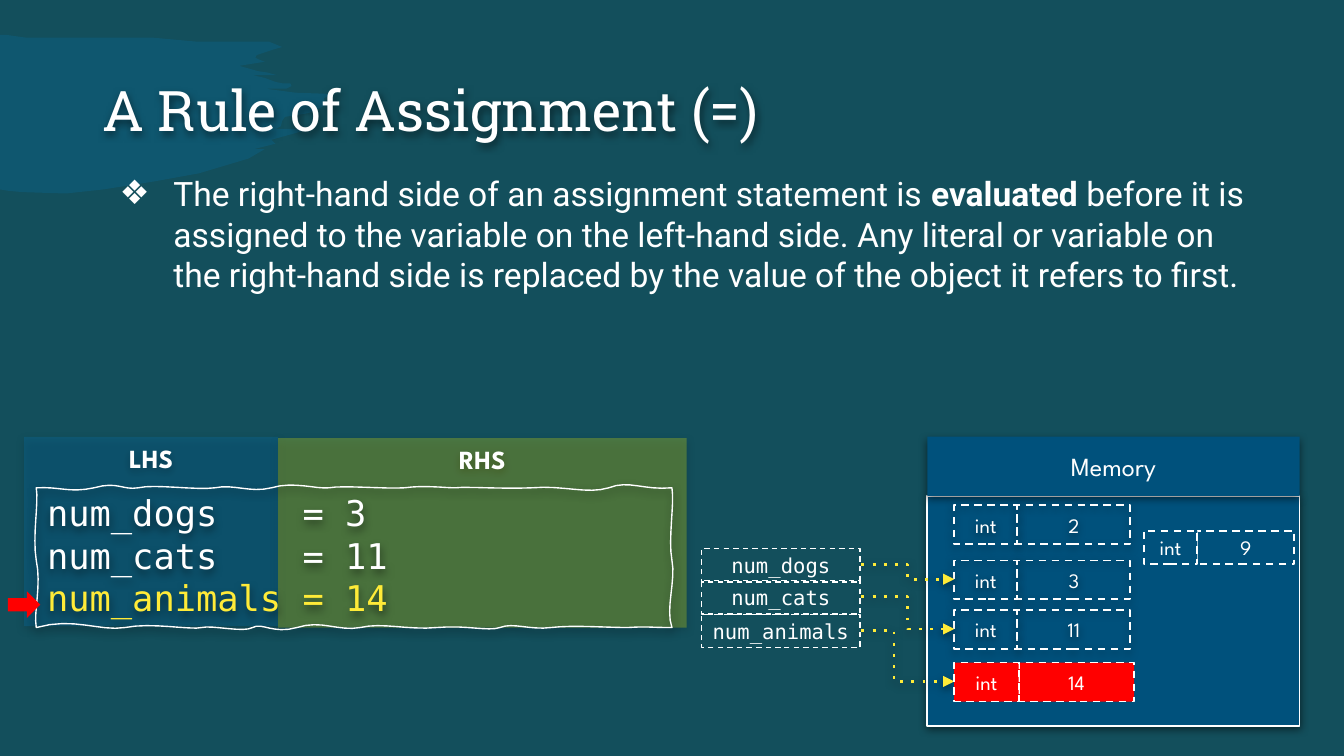
from lxml import etree
from pptx import Presentation
from pptx.dml.color import RGBColor
from pptx.enum.dml import MSO_LINE
from pptx.enum.shapes import MSO_CONNECTOR, MSO_SHAPE
from pptx.enum.text import MSO_ANCHOR, PP_ALIGN
from pptx.oxml.ns import qn
from pptx.util import Inches, Pt

RECT, ARROW = MSO_SHAPE.RECTANGLE, MSO_SHAPE.RIGHT_ARROW
ELBOW = MSO_CONNECTOR.ELBOW
DASH = MSO_LINE.DASH
TOP, MIDDLE = MSO_ANCHOR.TOP, MSO_ANCHOR.MIDDLE
LEFT, CENTER = PP_ALIGN.LEFT, PP_ALIGN.CENTER

TEAL = RGBColor(0x13, 0x4F, 0x5C)
BLUE = RGBColor(0x02, 0x77, 0xBD)
NAVY = RGBColor(0x00, 0x51, 0x7C)
YELLOW = RGBColor(0xFF, 0xFF, 0x00)
GOLD = RGBColor(0xFF, 0xEB, 0x38)
RED = RGBColor(0xFF, 0x00, 0x00)
WHITE = RGBColor(0xFF, 0xFF, 0xFF)

SPARTAN, MONO = "League Spartan", "DejaVu Sans Mono"

BRUSH = [
    (0, 0.26), (0.05, 0.26), (0.19, 0.28), (0.5, 0.28), (0.76, 0.28), (1.13, 0.28),
    (1.46, 0.31), (1.86, 0.31), (2, 0.31), (2.1, 0.35), (2.03, 0.37), (1.91, 0.41),
    (1.9, 0.43), (1.92, 0.44), (1.97, 0.46), (1.78, 0.49), (1.92, 0.53), (1.99, 0.54),
    (2.06, 0.56), (1.88, 0.56), (1.97, 0.58), (2.05, 0.61), (2.1, 0.62), (2.16, 0.62),
    (2.17, 0.64), (2.13, 0.66), (1.97, 0.66), (2.2, 0.69), (2.48, 0.7), (2.41, 0.73),
    (2.42, 0.78), (2.39, 0.8), (2.3, 0.84), (2.25, 0.85), (2.12, 0.87), (2.1, 0.9),
    (2.09, 0.94), (2.05, 0.96), (2.31, 0.96), (2.02, 1.04), (2.05, 1.07), (1.89, 1.11),
    (1.97, 1.11), (1.85, 1.18), (1.48, 1.29), (1.15, 1.35), (0.77, 1.41), (0.49, 1.44),
    (0.17, 1.43), (0.06, 1.42), (0, 1.41),
]
FRAME_START = (0.27, 3.63)
FRAME_CURVES = [
    (0.44, 3.62, 0.52, 3.67, 0.7, 3.63), (0.88, 3.58, 0.91, 3.65, 1.03, 3.63),
    (1.15, 3.6, 1.46, 3.65, 1.6, 3.63), (1.74, 3.6, 1.86, 3.67, 2.02, 3.63),
    (2.19, 3.58, 2.34, 3.64, 2.45, 3.63), (2.55, 3.61, 2.87, 3.64, 3.01, 3.63),
    (3.16, 3.61, 3.3, 3.63, 3.39, 3.63), (3.48, 3.62, 3.73, 3.64, 3.96, 3.63),
    (4.19, 3.61, 4.37, 3.68, 4.53, 3.63), (4.68, 3.57, 4.79, 3.65, 5, 3.63),
    (5.02, 3.75, 4.97, 4.01, 5, 4.17), (5.03, 4.32, 4.95, 4.53, 5, 4.67),
    (4.83, 4.67, 4.83, 4.66, 4.67, 4.67), (4.51, 4.67, 4.26, 4.65, 4.1, 4.67),
    (3.94, 4.69, 3.82, 4.63, 3.72, 4.67), (3.63, 4.7, 3.47, 4.65, 3.25, 4.67),
    (3.03, 4.69, 2.85, 4.63, 2.68, 4.67), (2.52, 4.7, 2.39, 4.61, 2.21, 4.67),
    (2.03, 4.72, 1.95, 4.63, 1.88, 4.67), (1.81, 4.71, 1.58, 4.65, 1.5, 4.67),
    (1.42, 4.69, 1.13, 4.63, 0.93, 4.67), (0.74, 4.7, 0.55, 4.59, 0.27, 4.67),
    (0.25, 4.55, 0.31, 4.35, 0.27, 4.17), (0.24, 3.99, 0.29, 3.74, 0.27, 3.63),
]


def add_xml(parent, tag, **attributes):
    return etree.SubElement(parent, qn(tag), attributes)


def add_shadow(shape):
    effects = add_xml(shape.element.spPr, "a:effectLst")
    shadow = add_xml(effects, "a:outerShdw", blurRad=str(Pt(4.5)), dist=str(Pt(1.5)),
                     dir="5400000", algn="bl", rotWithShape="0")
    color = add_xml(shadow, "a:srgbClr", val="000000")
    add_xml(color, "a:alpha", val="50000")


def style(shape, fill=None, alpha=None, line=None, dash=None, shadow=False):
    if fill is None:
        shape.fill.background()
    else:
        shape.fill.solid()
        shape.fill.fore_color.rgb = fill
    if alpha:
        color = shape.element.spPr.find(qn("a:solidFill"))[0]
        add_xml(color, "a:alpha", val=str(alpha * 1000))
    if line:
        shape.line.color.rgb = WHITE
        shape.line.width = Pt(line)
        shape.line.dash_style = dash
    else:
        shape.line.fill.background()
    if shadow:
        add_shadow(shape)
    else:
        shape.shadow.inherit = False


def write(shape, lines, size=11, font=SPARTAN, colors=(WHITE,), bold=False,
          align=CENTER, anchor=MIDDLE, spacing=None, bullet=None, left=0.07, top=0.04):
    frame = shape.text_frame
    frame.word_wrap = True
    frame.vertical_anchor = anchor
    frame.margin_left, frame.margin_right = Inches(left), Inches(0.07)
    frame.margin_top, frame.margin_bottom = Inches(top), Inches(0.04)
    for index, runs in enumerate(lines):
        paragraph = frame.add_paragraph() if index else frame.paragraphs[0]
        paragraph.alignment = align
        paragraph.line_spacing = spacing
        if bullet:
            properties = paragraph._p.get_or_add_pPr()
            properties.set("marL", str(Inches(0.5)))
            properties.set("indent", str(Inches(-0.4)))
            color = add_xml(properties, "a:buClr")
            add_xml(color, "a:srgbClr", val=str(WHITE))
            add_xml(properties, "a:buFont", typeface=font)
            add_xml(properties, "a:buChar", char=bullet)
        for position, text in enumerate(runs):
            run = paragraph.add_run()
            run.text = text
            run.font.size = Pt(size)
            run.font.name = font
            run.font.bold = bold or position % 2 == 1
            run.font.color.rgb = colors[index % len(colors)]


def add_box(slide, left, top, width, height, text=None, kind=RECT, look=None, **text_format):
    box = slide.shapes.add_shape(kind, Inches(left), Inches(top), Inches(width), Inches(height))
    style(box, **(look or {}))
    if text:
        write(box, [[text]], **text_format)
    return box


def add_textbox(slide, left, top, width, height, lines, **text_format):
    box = slide.shapes.add_textbox(Inches(left), Inches(top), Inches(width), Inches(height))
    write(box, lines, **text_format)
    return box


def add_outline(slide, points, **look):
    corners = [(Inches(x), Inches(y)) for x, y in points]
    builder = slide.shapes.build_freeform(*corners[0])
    builder.add_line_segments(corners[1:], close=True)
    outline = builder.convert_to_shape()
    style(outline, **look)
    return outline


def trace_curves(start, curves, steps=8):
    points = [start]
    for x1, y1, x2, y2, x3, y3 in curves:
        x0, y0 = points[-1]
        for step in range(1, steps + 1):
            t = step / steps
            a, b, c, d = (1 - t) ** 3, 3 * t * (1 - t) ** 2, 3 * t * t * (1 - t), t ** 3
            points.append((a * x0 + b * x1 + c * x2 + d * x3,
                           a * y0 + b * y1 + c * y2 + d * y3))
    return points


def add_reference(slide, start_y, end_y, bend):
    reference = slide.shapes.add_connector(
        ELBOW, Inches(6.41), Inches(start_y), Inches(7.1), Inches(end_y))
    reference.line.color.rgb = GOLD
    reference.line.width = Pt(1.5)
    stroke = reference.element.spPr.find(qn("a:ln"))
    add_xml(stroke, "a:prstDash", val="dot")
    add_xml(stroke, "a:tailEnd", type="triangle")
    guides = reference.element.spPr.find(qn("a:prstGeom")).find(qn("a:avLst"))
    add_xml(guides, "a:gd", name="adj1", fmla=f"val {round(bend * 100000)}")
    add_shadow(reference)


def add_object(slide, left, top, type_width, value_width, height, value, **look):
    look = {"line": 1, "dash": DASH, **look}
    add_box(slide, left + type_width, top, value_width, height, value, look=look)
    add_box(slide, left, top, type_width, height, "int", look=look)


def add_memory(slide):
    add_box(slide, 6.9, 3.69, 2.77, 1.71, look={"fill": NAVY, "line": 1, "shadow": True})
    add_box(slide, 6.9, 3.25, 2.77, 0.44, "Memory", size=14,
            look={"fill": NAVY, "shadow": True})
    for top, value in [(3.76, "2"), (4.17, "3"), (4.54, "11")]:
        add_object(slide, 7.1, top, 0.47, 0.84, 0.29, value, shadow=True)


def add_variables(slide):
    names = ["num_dogs", "num_cats", "num_animals"]
    tops = [4.08, 4.32, 4.57]
    for name, top in zip(names, tops):
        add_box(slide, 5.22, top, 1.18, 0.25, name, font=MONO,
                look={"line": 0.75, "dash": DASH})
    for top, target_y, bend in zip(tops, [4.31, 4.68, 5.07], [0.5, 0.5, 0.35]):
        add_reference(slide, top + 0.12, target_y, bend)


def add_code(slide):
    sides = [("LHS", 0.18, 3.25, 1.89, BLUE), ("RHS", 2.07, 3.26, 3.04, YELLOW)]
    for label, left, top, width, tint in sides:
        add_box(slide, left, top, width, 1.41, label, size=14, bold=True, anchor=TOP,
                look={"fill": tint, "alpha": 24, "shadow": True})
    code = add_outline(slide, trace_curves(FRAME_START, FRAME_CURVES), line=0.75, shadow=True)
    write(code, [["num_dogs    = 3"], ["num_cats    = 11"], ["num_animals = 14"]],
          size=19, font=MONO, colors=(WHITE, WHITE, GOLD), align=LEFT, anchor=TOP,
          left=0.09, top=0.05)
    add_box(slide, 0.06, 4.4, 0.24, 0.2, kind=ARROW, look={"fill": RED})


def add_rule(slide):
    title = add_textbox(slide, 0.69, 0.3, 8.62, 1.09, [["A Rule of Assignment (=)"]],
                        size=30, font="Roboto Slab", align=LEFT, spacing=0.9)
    add_shadow(title)
    rule = ["The right-hand side of an assignment statement is ", "evaluated ",
            "before it is assigned to the variable on the left-hand side. Any literal or "
            "variable on the right-hand side is replaced by the value of the object it "
            "refers to first."]
    add_textbox(slide, 0.72, 1.25, 8.62, 1.87, [rule], size=18, font="Roboto",
                align=LEFT, anchor=TOP, bullet="❖")


def main():
    deck = Presentation()
    deck.slide_width = Inches(10)
    deck.slide_height = deck.slide_width * 9 // 16
    slide = deck.slides.add_slide(deck.slide_layouts[6])
    slide.background.fill.solid()
    slide.background.fill.fore_color.rgb = TEAL
    add_outline(slide, BRUSH, fill=BLUE, alpha=20)
    add_memory(slide)
    add_variables(slide)
    add_code(slide)
    add_rule(slide)
    add_object(slide, 8.51, 3.95, 0.4, 0.72, 0.25, "9", fill=NAVY)
    add_object(slide, 7.1, 4.93, 0.48, 0.86, 0.29, "14", fill=RED)
    deck.save("out.pptx")


if __name__ == "__main__":
    main()
